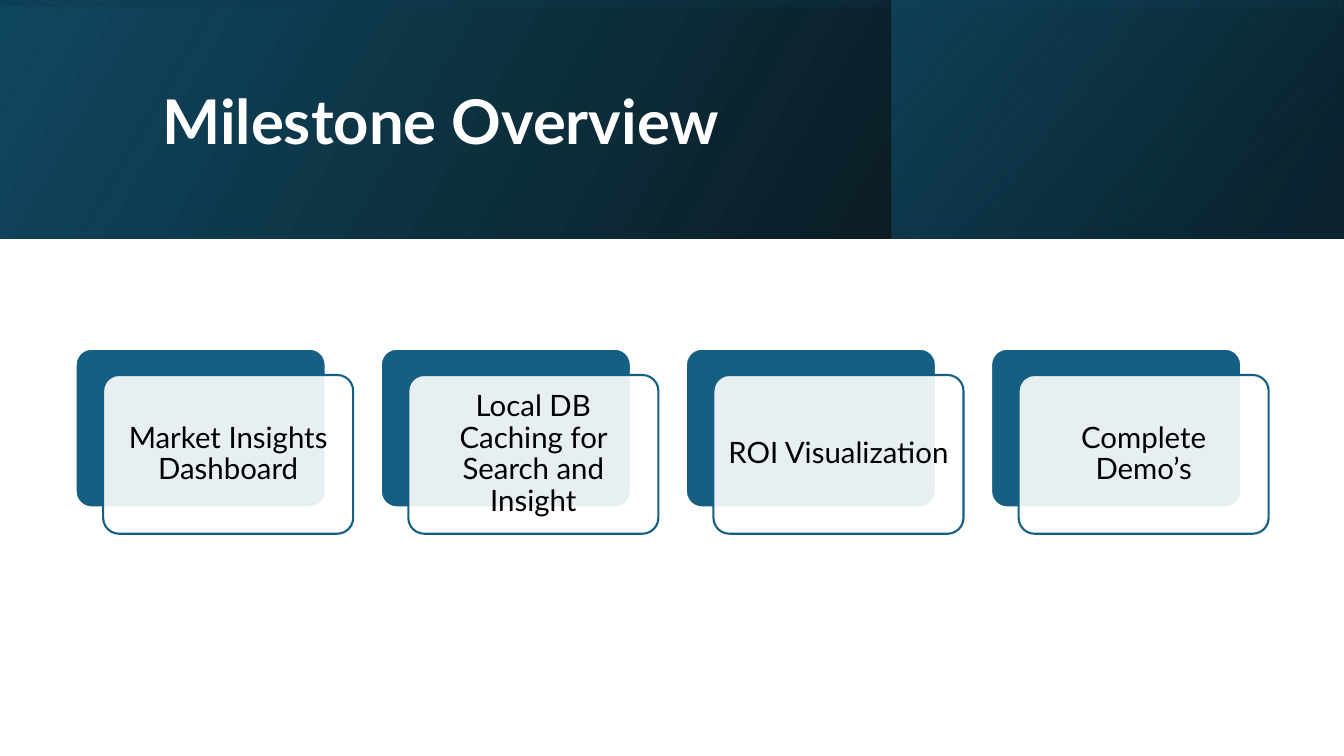
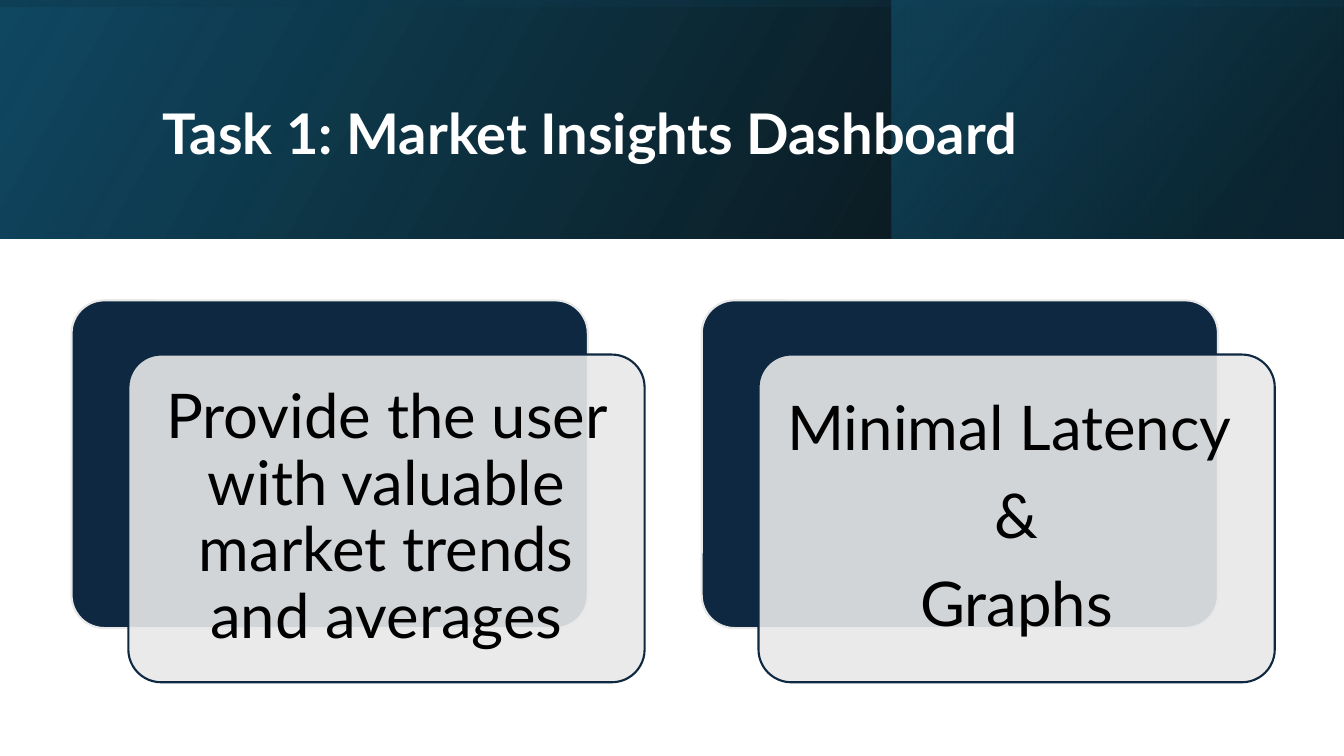
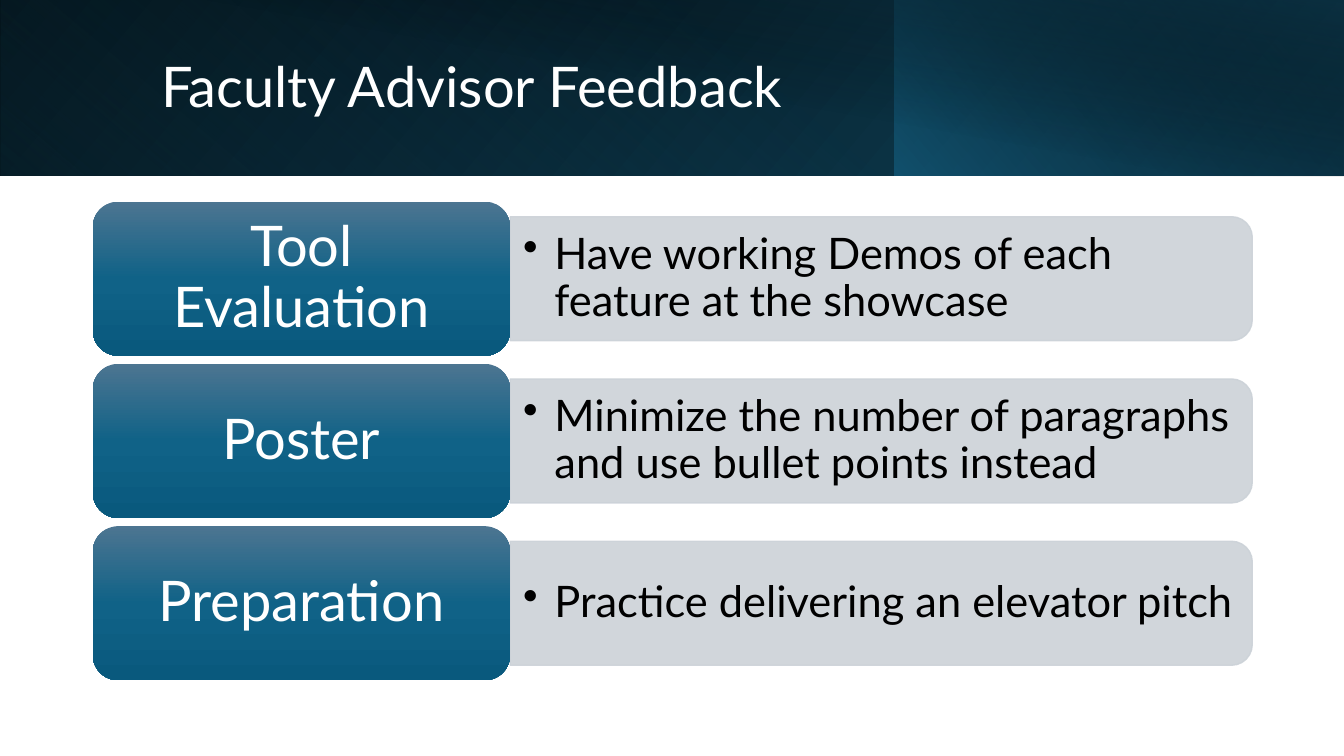
from pptx import Presentation
from pptx.dml.color import RGBColor
from pptx.enum.shapes import MSO_SHAPE
from pptx.enum.text import MSO_ANCHOR, MSO_AUTO_SIZE, PP_ALIGN
from pptx.oxml import parse_xml
from pptx.oxml.ns import nsdecls, qn
from pptx.util import Inches, Pt

FONT = "Lato"
WHITE = RGBColor(0xFF, 0xFF, 0xFF)
BLACK = RGBColor(0x00, 0x00, 0x00)
TEAL = RGBColor(0x15, 0x60, 0x82)
DEEP_TEAL = RGBColor(0x10, 0x48, 0x62)
DARK_TEAL = RGBColor(0x0B, 0x30, 0x41)
NAVY = RGBColor(0x0E, 0x28, 0x41)
PALE_GRAY = RGBColor(0xE8, 0xE8, 0xE8)
BAR_GRAY = RGBColor(0xCC, 0xD2, 0xD8)

# Each layer: box, rotation, mirrored, gradient angle, stops (position, colour, opacity)
TALL_BAND = [
    ((0, 0, 13.33, 2.37), 0, True, 330, [(0, BLACK, 96), (100, DEEP_TEAL, 100)]),
    ((8.84, 0, 4.48, 2.37), 0, True, 320, [(19, DARK_TEAL, 68), (100, TEAL, 48)]),
    ((5.48, -5.48, 2.37, 13.33), 270, True, 350, [(23, DEEP_TEAL, 16), (99, BLACK, 45)]),
]
SHORT_BAND = [
    ((0, 0, 13.33, 1.74), 0, True, 140, [(0, BLACK, 100), (100, DEEP_TEAL, 100)]),
    ((0, 0, 8.88, 1.74), 180, True, 230, [(20, TEAL, 0), (100, DARK_TEAL, 55)]),
    ((8.87, 0, 4.46, 1.74), 0, True, 220, [(0, TEAL, 66), (100, BLACK, 30)]),
    ((0.5, 0, 12.83, 1.75), 0, False, 280, [(50, BLACK, 0), (99, DARK_TEAL, 52)]),
]
BUTTON_STOPS = [
    (0, RGBColor(0x4C, 0x75, 0x91), 100),
    (50, RGBColor(0x10, 0x62, 0x87), 100),
    (100, RGBColor(0x09, 0x59, 0x7D), 100),
]

MILESTONES = [
    ["Market Insights Dashboard"],
    ["Local DB Caching for Search and Insight"],
    ["ROI Visualization "],
    ["Complete Demo’s"],
]
DASHBOARD_GOALS = [
    ["Provide the user with valuable market trends and averages"],
    ["Minimal Latency ", "&", "Graphs"],
]
FEEDBACK = [
    ("Tool Evaluation", "Have working Demos of each feature at the showcase"),
    ("Poster", "Minimize the number of paragraphs and use bullet points instead"),
    ("Preparation", "Practice delivering an elevator pitch"),
]


def add_box(page, kind, box, fill=None, line=None, line_width=1.5):
    shape = page.shapes.add_shape(kind, *map(Inches, box))
    shape.shadow.inherit = False
    if fill is None:
        shape.fill.background()
    else:
        shape.fill.solid()
        shape.fill.fore_color.rgb = fill
    if line is None:
        shape.line.fill.background()
    else:
        shape.line.color.rgb = line
        shape.line.width = Pt(line_width)
    return shape


def set_opacity(solid_fill, percent):
    color = solid_fill.find(qn("a:srgbClr"))
    color.append(parse_xml(f'<a:alpha {nsdecls("a")} val="{percent * 1000}"/>'))


def set_gradient(shape, angle, stops):
    """Replace the shape's empty fill; the angle runs clockwise."""
    stop_xml = "".join(
        f'<a:gs pos="{position * 1000}"><a:srgbClr val="{color}">'
        f'<a:alpha val="{opacity * 1000}"/></a:srgbClr></a:gs>'
        for position, color, opacity in stops
    )
    gradient = parse_xml(
        f'<a:gradFill {nsdecls("a")} rotWithShape="1"><a:gsLst>{stop_xml}</a:gsLst>'
        f'<a:lin ang="{angle * 60000}" scaled="0"/></a:gradFill>'
    )
    properties = shape.element.spPr
    properties.replace(properties.find(qn("a:noFill")), gradient)


def write(shape, lines, size, color, insets, align=PP_ALIGN.CENTER, after=0.35, bold=False):
    """Fill the text frame; after is the paragraph gap as a share of the size."""
    frame = shape.text_frame
    frame.word_wrap = True
    frame.auto_size = MSO_AUTO_SIZE.NONE
    frame.vertical_anchor = MSO_ANCHOR.MIDDLE
    side, end = map(Inches, insets)
    frame.margin_left = frame.margin_right = side
    frame.margin_top = frame.margin_bottom = end
    frame.text = "\n".join(lines)
    for para in frame.paragraphs:
        para.alignment = align
        para.line_spacing = 0.9
        para.space_before = Pt(0)
        para.space_after = Pt(round(size * after, 1))
        para.font.name = FONT
        para.font.size = Pt(size)
        para.font.bold = bold
        para.font.color.rgb = color


def add_page(deck, band, title, title_box, size, bold):
    page = deck.slides.add_slide(deck.slide_layouts.get_by_name("Title Only"))
    for box, rotation, mirrored, angle, stops in band:
        layer = add_box(page, MSO_SHAPE.RECTANGLE, box)
        layer.rotation = rotation
        set_gradient(layer, angle, stops)
        if mirrored:
            layer.element.spPr.find(qn("a:xfrm")).set("flipH", "1")
    heading = page.shapes.title
    heading.element.getparent().append(heading.element)  # bring in front of the band
    heading.left, heading.top, heading.width, heading.height = map(Inches, title_box)
    write(heading, [title], size, WHITE, (0.1, 0.05), PP_ALIGN.LEFT, 0, bold)
    return page


def add_cards(page, cards, first, last, top, width, back, front, size, inset):
    """Lay out a row of cards, each a dark back plate under a shifted text plate."""
    pitch = (last - first) / (len(cards) - 1)
    height = 0.635 * width
    shift_x, shift_y = 0.11 * width, 0.105 * width
    for index, lines in enumerate(cards):
        left = first + index * pitch
        plate = add_box(page, MSO_SHAPE.ROUNDED_RECTANGLE,
                        (left, top, width, height), back, front)
        card = add_box(page, MSO_SHAPE.ROUNDED_RECTANGLE,
                       (left + shift_x, top + shift_y, width, height), front, back)
        plate.adjustments[0] = card.adjustments[0] = 0.1
        set_opacity(card.element.spPr.find(qn("a:solidFill")), 90)
        write(card, lines, size, BLACK, (inset, inset))


def add_feedback(page, rows):
    left, top, button_width, button_height, pitch = 0.92, 2, 4.14, 1.53, 1.61
    bar_width, bar_height = 7.36, 1.23
    bar_left = left + button_width
    for index, (topic, advice) in enumerate(rows):
        row_top = top + index * pitch
        middle = row_top + button_height / 2

        # The bar is drawn upright and turned, so its round corners face right.
        upright = (bar_left + (bar_width - bar_height) / 2, middle - bar_width / 2,
                   bar_height, bar_width)
        bar = add_box(page, MSO_SHAPE.ROUND_2_SAME_RECTANGLE, upright, BAR_GRAY, BAR_GRAY, 1)
        bar.rotation = 90
        for fill in bar.element.spPr.iter(qn("a:solidFill")):
            set_opacity(fill, 90)

        note = page.shapes.add_textbox(
            *map(Inches, (bar_left, middle - 0.555, 7.3, 1.11)))
        write(note, [advice], 31, BLACK, (0.13, 0.06), PP_ALIGN.LEFT, 0.15)
        note.text_frame.margin_right = Inches(0.1)
        bullet = note.text_frame.paragraphs[0]._p.get_or_add_pPr()
        bullet.set("marL", str(Inches(0.31)))
        bullet.set("indent", str(-Inches(0.31)))
        spacing = bullet.find(qn("a:spcAft"))
        spacing.addnext(parse_xml(f'<a:buChar {nsdecls("a")} char="•"/>'))

        button = add_box(page, MSO_SHAPE.ROUNDED_RECTANGLE,
                         (left, row_top, button_width, button_height))
        set_gradient(button, 90, BUTTON_STOPS)
        write(button, [topic], 40, WHITE, (0.17, 0.08))


def main():
    deck = Presentation()
    deck.slide_width, deck.slide_height = Inches(13.33), Inches(7.5)

    page = add_page(deck, TALL_BAND, "Milestone Overview", (1.51, 0.38, 10.63, 1.72), 44, True)
    add_cards(page, MILESTONES, 0.75, 9.83, 3.46, 2.48, TEAL, WHITE, 21, 0.09)

    page = add_page(deck, TALL_BAND, "Task 1: Market Insights Dashboard",
                    (1.51, 0.6, 10.47, 1.5), 40, True)
    add_cards(page, DASHBOARD_GOALS, 0.71, 6.96, 2.98, 5.12, NAVY, PALE_GRAY, 44, 0.18)

    page = add_page(deck, SHORT_BAND, "Faculty Advisor Feedback",
                    (1.5, 0.32, 10.82, 1.13), 40, False)
    add_feedback(page, FEEDBACK)

    deck.save("out.pptx")


if __name__ == "__main__":
    main()
